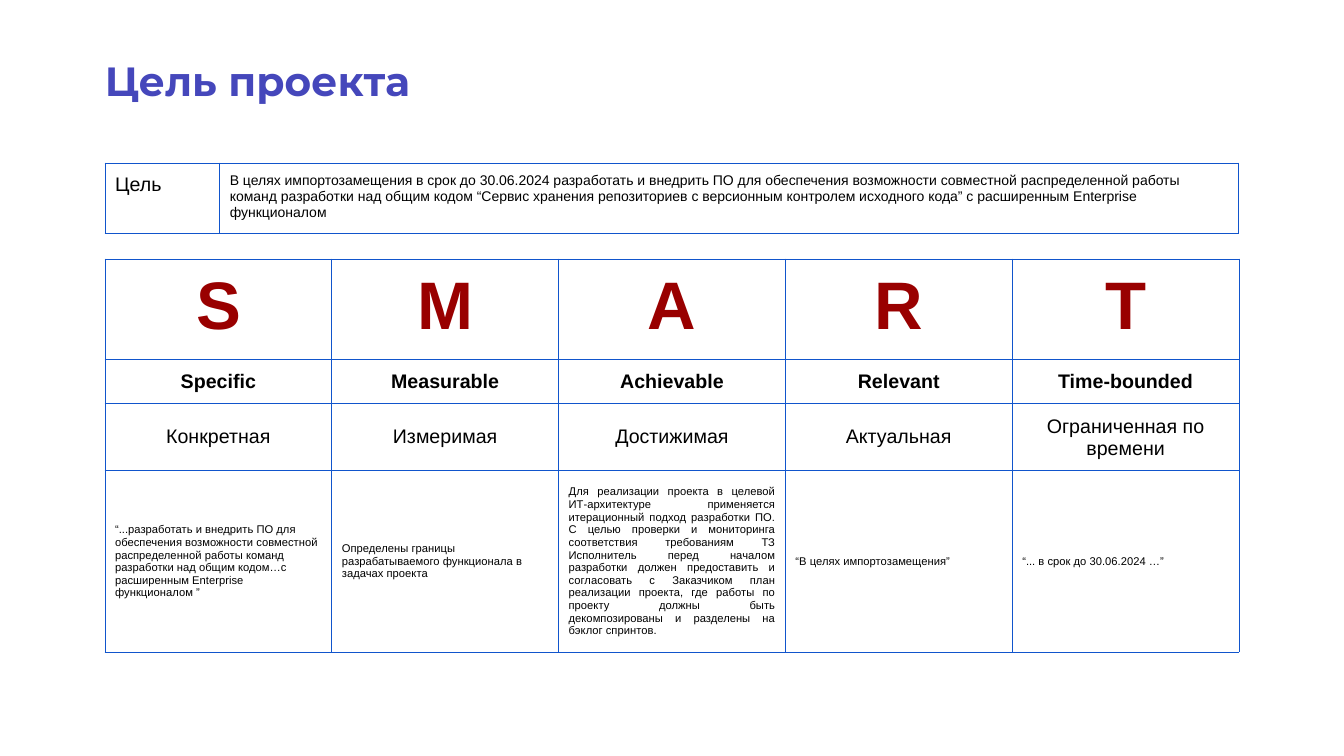
from lxml.etree import SubElement
from pptx import Presentation
from pptx.dml.color import RGBColor
from pptx.enum.text import MSO_ANCHOR as Anchor, PP_ALIGN as Align
from pptx.oxml.ns import qn
from pptx.util import Pt

LEFT, WIDTH = 75, 810
INSET = 7.2


def add_span(para, text, size, color, bold=False, font="Arial"):
    span = para.add_run()
    span.text = text
    span.font.name = font
    span.font.size = Pt(size)
    span.font.bold = bold
    span.font.color.rgb = RGBColor.from_string(color)


def add_grid(page, top, widths, heights):
    frame = page.shapes.add_table(len(heights), len(widths), Pt(LEFT), Pt(top),
                                  Pt(sum(widths)), Pt(sum(heights)))
    table = frame.table
    table.first_row = table.horz_banding = False
    for column, width in zip(table.columns, widths):
        column.width = Pt(width)
    for row, height in zip(table.rows, heights):
        row.height = Pt(height)
    for cell in table.iter_cells():
        cell.margin_left = cell.margin_right = Pt(INSET)
        cell.margin_top = cell.margin_bottom = Pt(INSET)
        # Borders precede the fill in the cell properties
        properties = cell._tc.get_or_add_tcPr()
        for side in ("a:lnL", "a:lnR", "a:lnT", "a:lnB"):
            line = SubElement(properties, qn(side), w=str(Pt(0.75)))
            solid = SubElement(line, qn("a:solidFill"))
            SubElement(solid, qn("a:srgbClr"), val="1155CC")
        cell.fill.background()
    return table


deck = Presentation()
deck.slide_width, deck.slide_height = Pt(960), Pt(540)
page = deck.slides.add_slide(deck.slide_layouts[6])

# Title
box = page.shapes.add_textbox(Pt(LEFT), Pt(39), Pt(698), Pt(36))
title = box.text_frame
title.word_wrap = True
title.margin_left = title.margin_right = title.margin_bottom = 0
title.margin_top = Pt(0.9)
add_span(title.paragraphs[0], "Цель проекта", 29.1, "4547BB", True, "Montserrat")

# Goal
goal = add_grid(page, 116.5, [82, WIDTH - 82], [48])
goal_texts = [
    ("Цель", 14),
    ("В целях импортозамещения в срок до 30.06.2024 разработать и внедрить ПО "
     "для обеспечения возможности совместной распределенной работы команд "
     "разработки над общим кодом “Сервис хранения репозиториев с версионным "
     "контролем исходного кода” с расширенным Enterprise функционалом", 10),
]
for column, (text, size) in enumerate(goal_texts):
    add_span(goal.cell(0, column).text_frame.paragraphs[0], text, size, "000000")

# SMART criteria: letter, name, translation, explanation
criteria = [
    ("S", "Specific", "Конкретная",
     "“...разработать и внедрить ПО для обеспечения возможности совместной "
     "распределенной работы команд разработки над общим кодом…с расширенным "
     "Enterprise функционалом ”"),
    ("M", "Measurable", "Измеримая",
     "Определены границы разрабатываемого функционала в задачах проекта"),
    ("A", "Achievable", "Достижимая",
     "Для реализации проекта в целевой ИТ-архитектуре применяется итерационный "
     "подход разработки ПО. С целью проверки и мониторинга соответствия "
     "требованиям ТЗ Исполнитель перед началом разработки должен предоставить "
     "и согласовать с Заказчиком план реализации проекта, где работы по проекту "
     "должны быть декомпозированы и разделены на бэклог спринтов."),
    ("R", "Relevant", "Актуальная", "“В целях импортозамещения”"),
    ("T", "Time-bounded", "Ограниченная по времени",
     "“... в срок до 30.06.2024 …”"),
]
# Size, colour, bold, alignment, anchor of each row
row_styles = [
    (48, "990000", True, Align.CENTER, Anchor.TOP),
    (14, "000000", True, Align.CENTER, Anchor.MIDDLE),
    (14, "000000", False, Align.CENTER, Anchor.MIDDLE),
    (8, "000000", False, Align.LEFT, Anchor.MIDDLE),
]
smart = add_grid(page, 185, [WIDTH / len(criteria)] * len(criteria),
                 [67.5, 30.5, 46, 122])
for column, texts in enumerate(criteria):
    for row, (text, style) in enumerate(zip(texts, row_styles)):
        size, color, bold, align, anchor = style
        cell = smart.cell(row, column)
        cell.vertical_anchor = anchor
        para = cell.text_frame.paragraphs[0]
        para.alignment = align
        add_span(para, text, size, color, bold)

# The long explanation is justified
smart.cell(3, 2).text_frame.paragraphs[0].alignment = Align.JUSTIFY

deck.save("out.pptx")
